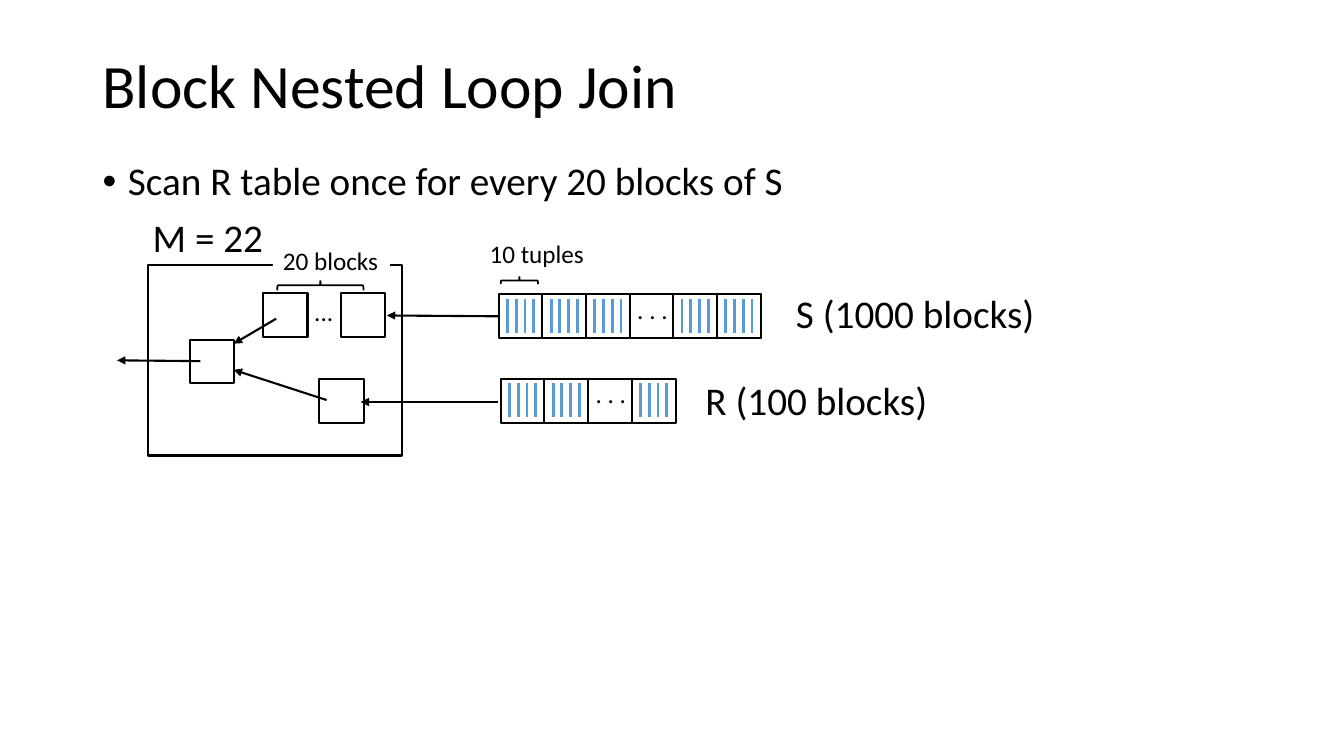
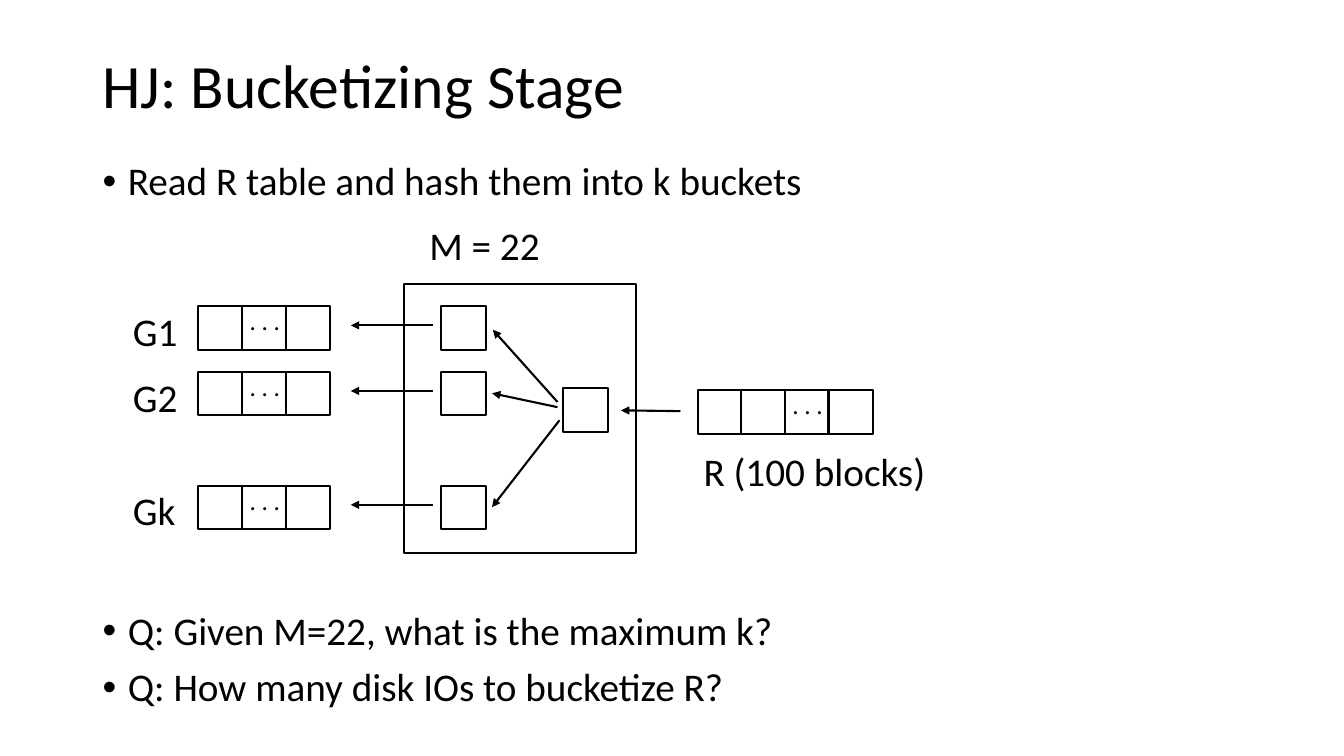
from dataclasses import dataclass

from pptx import Presentation
from pptx.dml.color import RGBColor
from pptx.enum.shapes import MSO_CONNECTOR as Connector, MSO_SHAPE as Preset
from pptx.enum.text import MSO_ANCHOR as Anchor, MSO_AUTO_SIZE as AutoSize, PP_ALIGN as Align
from pptx.oxml.ns import qn
from pptx.slide import Slide
from pptx.util import Cm, Pt
from lxml.etree import SubElement

BLACK = "000000"
WHITE = "FFFFFF"
BLUE = "5B9BD5"
FONT = "Calibri"
TITLE_SIZE, TEXT_SIZE, SMALL_SIZE = 44, 28, 18
MARGIN, CONTENT_WIDTH = 2.33, 29.21
CELL_WIDTH, CELL_HEIGHT, CELL_PITCH = 1.12, 1.1, 1.1
STRIPE_COUNT, STRIPE_PITCH, STRIPE_INSET = 4, 0.22, 0.22
STRIPE_TOP, STRIPE_HEIGHT = 0.11, 0.86
TEXT_HEIGHT, SMALL_HEIGHT = 1.44, 1.02


@dataclass(frozen=True)
class Box:
    left: float
    top: float
    width: float = CELL_WIDTH
    height: float = CELL_HEIGHT


@dataclass(frozen=True)
class Label:
    text: str
    box: Box
    size: int = TEXT_SIZE
    fill: str | None = None


@dataclass(frozen=True)
class Arrow:
    start: tuple[float, float]
    end: tuple[float, float]


@dataclass(frozen=True)
class BlockRow:
    left: float
    top: float
    count: int
    dots_at: int
    striped: bool = False


@dataclass(frozen=True)
class Bullet:
    text: str
    space_before: float = 10


@dataclass(frozen=True)
class Bucket:
    name: str
    top: float
    hash_arrow: Arrow


def color(value: str) -> RGBColor:
    return RGBColor.from_string(value)


def lengths(box: Box) -> tuple[Cm, Cm, Cm, Cm]:
    return Cm(box.left), Cm(box.top), Cm(box.width), Cm(box.height)


def add_span(para, text: str, size: int) -> None:
    span = para.add_run()
    span.text = text
    span.font.name = FONT
    span.font.size = Pt(size)
    span.font.color.rgb = color(BLACK)


def place(holder, box: Box, anchor: Anchor):
    holder.left, holder.top, holder.width, holder.height = lengths(box)
    frame = holder.text_frame
    frame.auto_size = AutoSize.NONE
    frame.vertical_anchor = anchor
    return frame


def add_page(deck, title: str, bullets: list[Bullet], body_height: float) -> Slide:
    page = deck.slides.add_slide(deck.slide_layouts[1])
    heading = place(page.shapes.title, Box(MARGIN, 1.01, CONTENT_WIDTH, 2.46), Anchor.MIDDLE)
    para = heading.paragraphs[0]
    para.alignment = Align.LEFT
    para.line_spacing = 0.9
    add_span(para, title, TITLE_SIZE)
    body = place(page.placeholders[1], Box(MARGIN, 3.95, CONTENT_WIDTH, body_height), Anchor.TOP)
    for index, bullet in enumerate(bullets):
        para = body.add_paragraph() if index else body.paragraphs[0]
        para.line_spacing = 0.9
        para.space_before = Pt(bullet.space_before)
        properties = para._p.get_or_add_pPr()
        properties.set("marL", str(Cm(0.64)))
        properties.set("indent", str(-Cm(0.64)))
        add_span(para, bullet.text, TEXT_SIZE)
    return page


def add_box(page: Slide, box: Box) -> None:
    shape = page.shapes.add_shape(Preset.RECTANGLE, *lengths(box))
    shape.shadow.inherit = False
    shape.fill.solid()
    shape.fill.fore_color.rgb = color(WHITE)
    shape.line.color.rgb = color(BLACK)
    shape.line.width = Pt(1.5)


def add_brace(page: Slide, box: Box) -> None:
    brace = page.shapes.add_shape(Preset.RIGHT_BRACE, *lengths(box))
    brace.shadow.inherit = False
    brace.rotation = 270
    brace.fill.background()
    brace.line.color.rgb = color(BLACK)
    brace.line.width = Pt(1.25)


def add_label(page: Slide, label: Label) -> None:
    shape = page.shapes.add_textbox(*lengths(label.box))
    if label.fill:
        shape.fill.solid()
        shape.fill.fore_color.rgb = color(label.fill)
    frame = shape.text_frame
    frame.word_wrap = False
    frame.auto_size = AutoSize.SHAPE_TO_FIT_TEXT
    add_span(frame.paragraphs[0], label.text, label.size)


def add_line(page: Slide, path: Arrow, stroke: str, width: float):
    line = page.shapes.add_connector(
        Connector.STRAIGHT, *(Cm(value) for value in path.start + path.end)
    )
    line.line.color.rgb = color(stroke)
    line.line.width = Pt(width)
    SubElement(line._element.spPr, qn("a:effectLst"))
    return line


def add_arrow(page: Slide, arrow: Arrow) -> None:
    line = add_line(page, arrow, BLACK, 1.5)
    SubElement(line.line._get_or_add_ln(), qn("a:tailEnd"), type="triangle")


def add_stripes(page: Slide, left: float, top: float) -> None:
    for index in range(STRIPE_COUNT):
        x = left + STRIPE_INSET + index * STRIPE_PITCH
        y = top + STRIPE_TOP
        add_line(page, Arrow((x, y), (x, y + STRIPE_HEIGHT)), BLUE, 2)


def add_block_row(page: Slide, row: BlockRow) -> None:
    lefts = [row.left + index * CELL_PITCH for index in range(row.count)]
    for left in lefts:
        add_box(page, Box(left, row.top))
    for index, left in enumerate(lefts):
        if index == row.dots_at:
            dots = Box(left - 0.06, row.top - 0.14, 1.3, SMALL_HEIGHT)
            add_label(page, Label(". . .", dots, SMALL_SIZE))
        elif row.striped:
            add_stripes(page, left, row.top)


def build_nested_loop(deck) -> None:
    page = add_page(
        deck, "Block Nested Loop Join",
        [Bullet("Scan R table once for every 20 blocks of S")], 13.23,
    )
    add_box(page, Box(3.73, 6.68, 6.4, 4.8))
    add_block_row(page, BlockRow(12.62, 9.55, 4, 2, True))
    add_block_row(page, BlockRow(12.57, 7.42, 6, 3, True))
    for left, top in ((6.63, 7.39), (8.59, 7.39), (8.05, 9.55), (4.78, 8.56)):
        add_box(page, Box(left, top))
    for arrow in (
        Arrow((12.55, 7.97), (9.75, 7.95)),
        Arrow((12.55, 10.13), (9.09, 10.13)),
        Arrow((5.05, 9.1), (2.95, 9.08)),
        Arrow((6.96, 8.03), (5.89, 8.66)),
        Arrow((8.23, 10.08), (5.89, 9.32)),
    ):
        add_arrow(page, arrow)
    add_brace(page, Box(13, 6.6, 0.18, 0.94))
    add_brace(page, Box(7.95, 6.1, 0.25, 2.18))
    for label in (
        Label("M = 22", Box(3.6, 5.26, 3.33, TEXT_HEIGHT)),
        Label("R (100 blocks)", Box(17.53, 9.37, 6.18, TEXT_HEIGHT)),
        Label("S (1000 blocks)", Box(19.81, 7.16, 6.6, TEXT_HEIGHT)),
        Label("10 tuples", Box(12.09, 5.89, 2.92, SMALL_HEIGHT), SMALL_SIZE),
        Label("...", Box(7.67, 7.34, 0.99, SMALL_HEIGHT), SMALL_SIZE),
        Label("20 blocks", Box(6.88, 6.05, 2.95, SMALL_HEIGHT), SMALL_SIZE, WHITE),
    ):
        add_label(page, label)


def build_bucketizing(deck) -> None:
    page = add_page(
        deck, "HJ: Bucketizing Stage",
        [
            Bullet("Read R table and hash them into k buckets"),
            Bullet("Q: Given M=22, what is the maximum k?", 291),
            Bullet("Q: How many disk IOs to bucketize R?"),
        ], 14.65,
    )
    add_box(page, Box(10.19, 7.16, 5.84, 6.78))
    add_label(page, Label("M = 22", Box(10.57, 5.46, 3.33, TEXT_HEIGHT)))
    add_block_row(page, BlockRow(17.58, 9.83, 4, 2))
    add_label(page, Label("R (100 blocks)", Box(17.48, 11.15, 6.18, TEXT_HEIGHT)))
    add_box(page, Box(14.2, 9.78))
    add_arrow(page, Arrow((17.15, 10.36), (15.65, 10.34)))
    for bucket in (
        Bucket("G1", 7.72, Arrow((14.05, 10.13), (12.42, 8.31))),
        Bucket("G2", 9.37, Arrow((14.05, 10.26), (12.4, 9.91))),
        Bucket("Gk", 12.24, Arrow((14.1, 10.59), (12.4, 12.78))),
    ):
        add_block_row(page, BlockRow(5, bucket.top, 3, 1))
        add_label(page, Label(bucket.name, Box(3.1, bucket.top - 0.1, 1.65, TEXT_HEIGHT)))
        add_box(page, Box(11.12, bucket.top))
        flow = bucket.top + 0.48
        add_arrow(page, Arrow((10.9, flow), (8.84, flow)))
        add_arrow(page, bucket.hash_arrow)


def main() -> None:
    deck = Presentation()
    deck.slide_width, deck.slide_height = Cm(33.87), Cm(19.05)
    build_nested_loop(deck)
    build_bucketizing(deck)
    deck.save("out.pptx")


if __name__ == "__main__":
    main()
